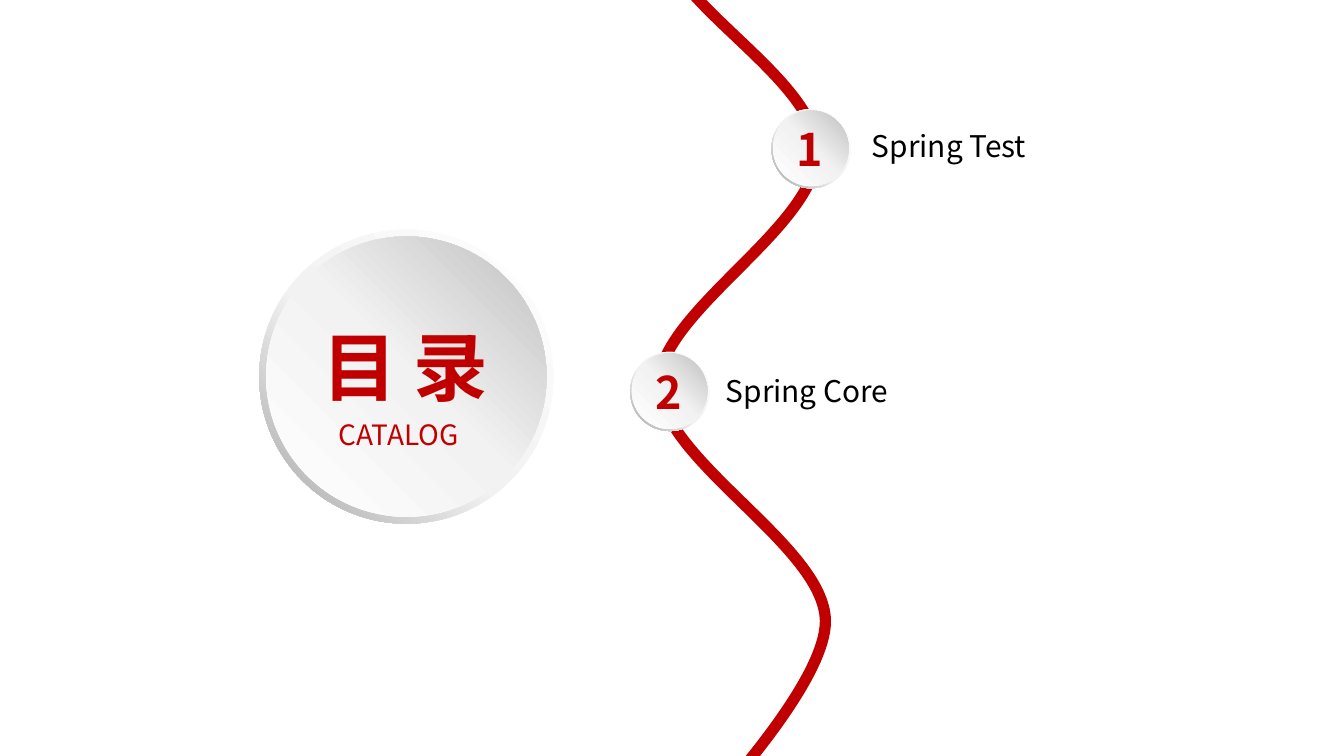
from copy import deepcopy

from lxml.etree import SubElement
from pptx import Presentation
from pptx.dml.color import RGBColor
from pptx.enum.shapes import MSO_SHAPE
from pptx.enum.text import MSO_ANCHOR, MSO_AUTO_SIZE, PP_ALIGN
from pptx.oxml.ns import qn
from pptx.util import Cm, Pt

RED = RGBColor(0xC0, 0x00, 0x00)
BLACK = RGBColor(0x00, 0x00, 0x00)
WHITE = RGBColor(0xFF, 0xFF, 0xFF)
PALE = RGBColor(0xF2, 0xF2, 0xF2)
SILVER = RGBColor(0xBF, 0xBF, 0xBF)
GREY = RGBColor(0xA6, 0xA6, 0xA6)
FONT = "Noto Sans CJK SC"


def add_badge(shapes, left, top, size, inset, disc_size):
    group = shapes.add_group_shape()
    layers = [
        (MSO_SHAPE.DONUT, 0, size, 225, 0.55, GREY),
        (MSO_SHAPE.OVAL, inset, disc_size, 45, 0.51, SILVER),
    ]
    for kind, offset, side, angle, middle, dark in layers:
        layer = group.shapes.add_shape(
            kind, Cm(left + offset), Cm(top + offset), Cm(side), Cm(side))
        if kind == MSO_SHAPE.DONUT:
            layer.adjustments[0] = 0.05
        layer.shadow.inherit = False
        layer.line.fill.background()
        layer.fill.gradient()
        layer.fill.gradient_angle = angle
        stop_list = layer._element.spPr.find(".//" + qn("a:gsLst"))
        stop_list.append(deepcopy(stop_list[0]))
        colors = [(0, WHITE), (middle, PALE), (1, dark)]
        for stop, (position, color) in zip(layer.fill.gradient_stops, colors):
            stop.position = position
            stop.color.rgb = color
    return group


def add_text(shapes, text, frame, size, color, margins, bold=False,
             align=PP_ALIGN.CENTER, wrap=False):
    box = shapes.add_textbox(*[Cm(length) for length in frame])
    body = box.text_frame
    body.word_wrap = wrap
    body.auto_size = MSO_AUTO_SIZE.SHAPE_TO_FIT_TEXT
    body.margin_left = body.margin_right = Cm(margins[0])
    body.margin_top = body.margin_bottom = Cm(margins[1])
    para = body.paragraphs[0]
    para.text = text
    para.alignment = align
    para.font.size = Pt(size)
    para.font.bold = bold
    para.font.name = FONT
    para.font.color.rgb = color
    SubElement(para.font._element, qn("a:ea"), typeface=FONT)
    return box


deck = Presentation()
deck.slide_width = Cm(25.4)
deck.slide_height = Cm(14.29)
page = deck.slides.add_slide(deck.slide_layouts[6])

curve_start = (12.47, -1.32)
curve_points = [
    (12.47, 0), (15.44, 1.45), (15.44, 2.87),
    (15.44, 4.29), (12.47, 5.89), (12.45, 7.26),
    (12.5, 8.71), (15.57, 10.31), (15.6, 11.73),
    (15.62, 13.11), (12.62, 16.08), (12.67, 16.08),
]
builder = page.shapes.build_freeform(*[Cm(value) for value in curve_start])
builder.add_line_segments([(Cm(x), Cm(y)) for x, y in curve_points], close=False)
road = builder.convert_to_shape()
road.shadow.inherit = False
road.fill.background()
road.line.color.rgb = RED
road.line.width = Pt(6)
outline = road._element.spPr.find(".//" + qn("a:path"))
segments = outline.findall(qn("a:lnTo"))
for first in range(0, len(segments), 3):
    bend = SubElement(outline, qn("a:cubicBezTo"))
    for segment in segments[first:first + 3]:
        bend.append(segment[0])
        outline.remove(segment)

add_badge(page.shapes, 4.9, 4.34, 5.56, 0.13, 5.3)
add_text(page.shapes, "目 录", (5.59, 5.94, 4.14, 1.96), 40, RED,
         (0.25, 0.13), bold=True, wrap=True)
catalog = add_text(page.shapes, "CATALOG", (5.31, 7.59, 4.45, 1.24), 15, RED,
                   (0.18, 0.1), wrap=True)
catalog.text_frame.auto_size = MSO_AUTO_SIZE.NONE
catalog.text_frame.vertical_anchor = MSO_ANCHOR.MIDDLE

chapters = [
    ("1", 14.58, 2.06, "Spring Test", (16.48, 2.41, 3.02, 0.69)),
    ("2", 11.91, 6.65, "Spring Core", (13.72, 7.04, 3.23, 0.69)),
]
for number, left, top, title, frame in chapters:
    add_text(page.shapes, title, frame, 16, BLACK, (0, 0), align=PP_ALIGN.LEFT)
    badge = add_badge(page.shapes, left, top, 1.5, 0.03, 1.43)
    add_text(badge.shapes, number, (left + 0.2, top + 0.12, 1.04, 1.27), 24, RED,
             (0.25, 0.13), bold=True)

deck.save("out.pptx")
